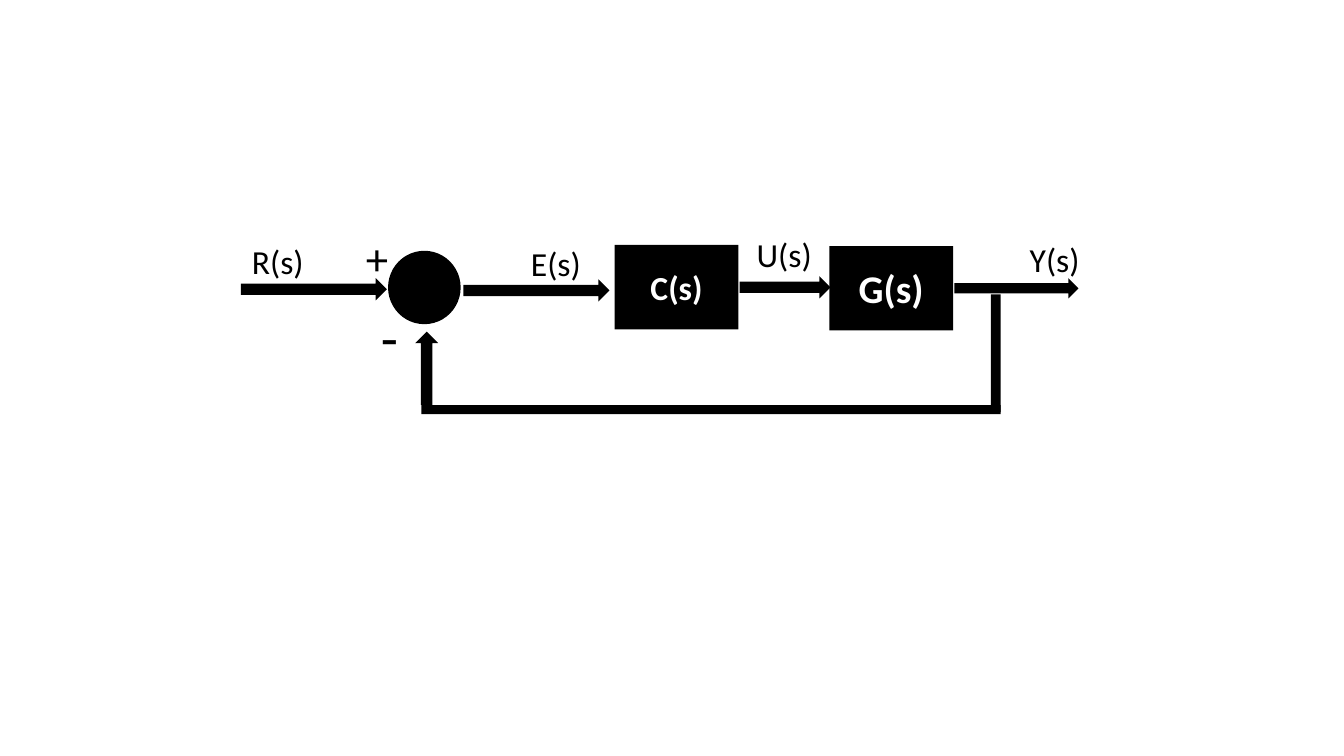
from pptx import Presentation
from pptx.dml.color import RGBColor
from pptx.enum.shapes import MSO_SHAPE as SHAPE
from pptx.enum.text import MSO_ANCHOR as ANCHOR, PP_ALIGN as ALIGN
from pptx.util import Cm, Pt

BLACK = RGBColor(0, 0, 0)
WHITE = RGBColor(255, 255, 255)

prs = Presentation()
prs.slide_width, prs.slide_height = Cm(33.87), Cm(19.05)
s = prs.slides.add_slide(prs.slide_layouts[6])


def add_solid(kind, x, y, w, h):
    sp = s.shapes.add_shape(kind, Cm(x), Cm(y), Cm(w), Cm(h))
    sp.shadow.inherit = False
    sp.fill.solid()
    sp.fill.fore_color.rgb = BLACK
    sp.line.fill.background()
    return sp


def add_run(p, text, size, color, bold=False):
    r = p.add_run()
    r.text = text
    r.font.name = "Calibri"
    r.font.size = Pt(size)
    r.font.bold = bold
    r.font.color.rgb = color


signal_arrows = [
    (6.07, 7.01, 3.68, 0.56),
    (11.68, 7.04, 3.68, 0.56),
    (18.64, 6.96, 2.29, 0.56),
    (24.05, 7.01, 3.13, 0.51),
]
for x, y, w, h in signal_arrows:
    add_solid(SHAPE.RIGHT_ARROW, x, y, w, h)

add_solid(SHAPE.OVAL, 9.78, 6.32, 1.83, 1.85)

feedback_arrow = add_solid(SHAPE.RIGHT_ARROW, 9.83, 8.99, 1.85, 0.58)
feedback_arrow.rotation = 270
add_solid(SHAPE.RECTANGLE, 10.62, 10.21, 14.6, 0.23)
add_solid(SHAPE.RECTANGLE, 24.97, 7.42, 0.25, 2.97)

blocks = [("C(s)", 15.49, 6.17, 24), ("G(s)", 20.9, 6.2, 28)]
for text, x, y, size in blocks:
    sp = add_solid(SHAPE.RECTANGLE, x, y, 3.12, 2.13)
    tf = sp.text_frame
    tf.word_wrap = True
    tf.vertical_anchor = ANCHOR.MIDDLE
    p = tf.paragraphs[0]
    p.alignment = ALIGN.CENTER
    add_run(p, text, size, WHITE, True)

labels = [
    ("R(s)", 6.1, 6.07, 2.46, 1.17, 24),
    ("E(s)", 13.13, 6.12, 2.34, 1.17, 24),
    ("U(s)", 18.82, 5.89, 2.11, 1.17, 24),
    ("Y(s)", 25.7, 6.02, 2.11, 1.17, 24),
    ("+", 8.97, 5.84, 0.79, 0.81, 32),
    ("-", 9.35, 7.7, 0.79, 0.99, 40),
]
for text, x, y, w, h, size in labels:
    tf = s.shapes.add_textbox(Cm(x), Cm(y), Cm(w), Cm(h)).text_frame
    tf.word_wrap = True
    p = tf.paragraphs[0]
    p.line_spacing = 0.9
    add_run(p, text, size, BLACK)

prs.save("out.pptx")
